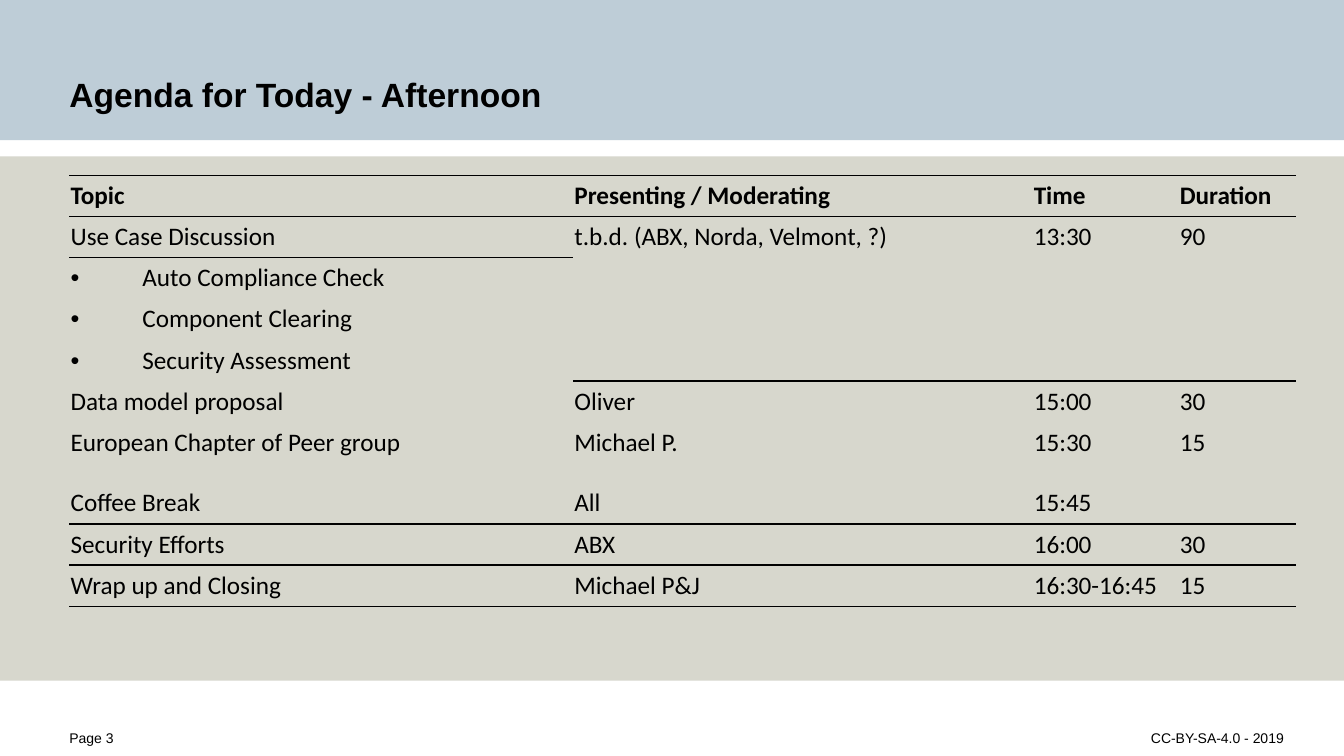
from lxml.etree import SubElement
from pptx import Presentation
from pptx.dml.color import RGBColor
from pptx.enum.shapes import MSO_SHAPE
from pptx.enum.text import MSO_ANCHOR, MSO_AUTO_SIZE, PP_ALIGN
from pptx.oxml.ns import qn
from pptx.util import Cm, Pt

BLACK = RGBColor(0x00, 0x00, 0x00)
HEADER_BLUE = RGBColor(0xBE, 0xCD, 0xD7)
PANEL_GREY = RGBColor(0xD7, 0xD7, 0xCD)

WIDTH, HEIGHT = 33.88, 19.05
HEADER_HEIGHT = 3.53
MARGIN = 1.75
PLAIN_TABLE = "{2D5ABB26-0587-4C30-8999-92F81FD0307C}"

AGENDA = [
    ("Topic", "Presenting / Moderating", "Time", "Duration"),
    ("Use Case Discussion", "t.b.d. (ABX, Norda, Velmont, ?)", "13:30", "90"),
    ("Auto Compliance Check", "", "", ""),
    ("Component Clearing", "", "", ""),
    ("Security Assessment", "", "", ""),
    ("Data model proposal", "Oliver", "15:00", "30"),
    ("European Chapter of Peer group", "Michael P.", "15:30", "15"),
    ("Coffee Break", "All", "15:45", ""),
    ("Security Efforts", "ABX", "16:00", "30"),
    ("Wrap up and Closing", "Michael P&J", "16:30-16:45", "15"),
]
COLUMN_WIDTHS = (12.7, 11.58, 3.68, 2.95)
ROW_HEIGHT, TALL_ROW_HEIGHT = 0.95, 1.53
TALL_ROW = 6
USE_CASE_ROW = 1
BULLET_ROWS = (2, 3, 4)
RULES_ABOVE = (0, 1, 8)
RULES_BELOW = (0, 7, 9)


def write(tf, text, font="Arial", size=10, bold=False, color=BLACK,
          align=PP_ALIGN.LEFT, spacing=1.0, bullet=False):
    p = tf.paragraphs[0]
    p.alignment = align
    p.line_spacing = spacing
    if bullet:
        pPr = p._p.get_or_add_pPr()
        pPr.set("marL", str(Cm(1.81)))
        pPr.set("indent", str(-Cm(1.81)))
        SubElement(pPr, qn("a:buFont"), typeface="Arial")
        SubElement(pPr, qn("a:buChar"), char="•")
    r = p.add_run()
    r.text = text
    r.font.name = font
    r.font.size = Pt(size)
    r.font.bold = bold
    r.font.color.rgb = color


def set_insets(frame, left=0, top=0, right=0, bottom=0):
    """Set the inner margins, in cm, of a text frame or a table cell."""
    frame.margin_left, frame.margin_top = Cm(left), Cm(top)
    frame.margin_right, frame.margin_bottom = Cm(right), Cm(bottom)


def add_rule(cell, side):
    """Draw a thin line on one side of a cell: lnT or lnB."""
    ln = SubElement(cell._tc.get_or_add_tcPr(), qn(f"a:{side}"), w=str(Pt(0.96)))
    fill = SubElement(ln, qn("a:solidFill"))
    SubElement(fill, qn("a:srgbClr"), val=str(BLACK))


class AgendaSlide:
    def __init__(self, prs):
        self.slide = prs.slides.add_slide(prs.slide_layouts[5])
        self.shapes = self.slide.shapes

    def band(self, top, height, color):
        sp = self.shapes.add_shape(MSO_SHAPE.RECTANGLE, 0, Cm(top), Cm(WIDTH), Cm(height))
        sp.shadow.inherit = False
        sp.fill.solid()
        sp.fill.fore_color.rgb = color
        sp.line.fill.background()

    def title(self, text):
        sp = self.shapes.title
        self.shapes._spTree.append(sp._element)  # bring in front of the bands
        sp.left, sp.top, sp.width, sp.height = 0, 0, Cm(WIDTH), Cm(HEADER_HEIGHT)
        tf = sp.text_frame
        tf.auto_size = MSO_AUTO_SIZE.NONE
        tf.vertical_anchor = MSO_ANCHOR.BOTTOM
        set_insets(tf, MARGIN, 1.09, 5.89, 0.66)
        write(tf, text, size=24, bold=True)

    def footer(self, text, x, width, align=PP_ALIGN.LEFT, **insets):
        sp = self.shapes.add_textbox(Cm(x), Cm(18.34), Cm(width), Cm(0.71))
        tf = sp.text_frame
        tf.word_wrap = True
        set_insets(tf, bottom=0.33, **insets)
        write(tf, text, align=align, spacing=1.1)

    def table(self, rows):
        heights = [TALL_ROW_HEIGHT if i == TALL_ROW else ROW_HEIGHT
                   for i in range(len(rows))]
        frame = self.shapes.add_table(
            len(rows), len(COLUMN_WIDTHS), Cm(MARGIN), Cm(4.42),
            Cm(sum(COLUMN_WIDTHS)), Cm(sum(heights)))
        table = frame.table
        table.first_row = table.horz_banding = False
        table._tbl.tblPr.find(qn("a:tableStyleId")).text = PLAIN_TABLE
        for column, width in zip(table.columns, COLUMN_WIDTHS):
            column.width = Cm(width)
        for i, (row, height) in enumerate(zip(rows, heights)):
            table.rows[i].height = Cm(height)
            for j, text in enumerate(row):
                self.cell(table.cell(i, j), text, i)
        for j in range(1, len(COLUMN_WIDTHS)):
            table.cell(USE_CASE_ROW, j).merge(table.cell(BULLET_ROWS[-1], j))

    def cell(self, cell, text, row):
        set_insets(cell, 0.03, 0.13, 0.03, 0.13)
        if row in RULES_ABOVE:
            add_rule(cell, "lnT")
        if row in RULES_BELOW:
            add_rule(cell, "lnB")
        cell.fill.background()
        if text:
            write(cell.text_frame, text, font="Calibri", size=18,
                  bold=row == 0, bullet=row in BULLET_ROWS)


def main():
    prs = Presentation()
    prs.slide_width, prs.slide_height = Cm(WIDTH), Cm(HEIGHT)
    s = AgendaSlide(prs)
    s.band(0, HEADER_HEIGHT, HEADER_BLUE)
    s.band(3.94, 13.21, PANEL_GREY)
    s.title("Agenda for Today - Afternoon")
    s.table(AGENDA)
    s.footer("Page 3", 0, 4.9, left=MARGIN)
    s.footer("CC-BY-SA-4.0 - 2019", 10.52, 23.36, align=PP_ALIGN.RIGHT, right=1.52)
    prs.save("out.pptx")


if __name__ == "__main__":
    main()
